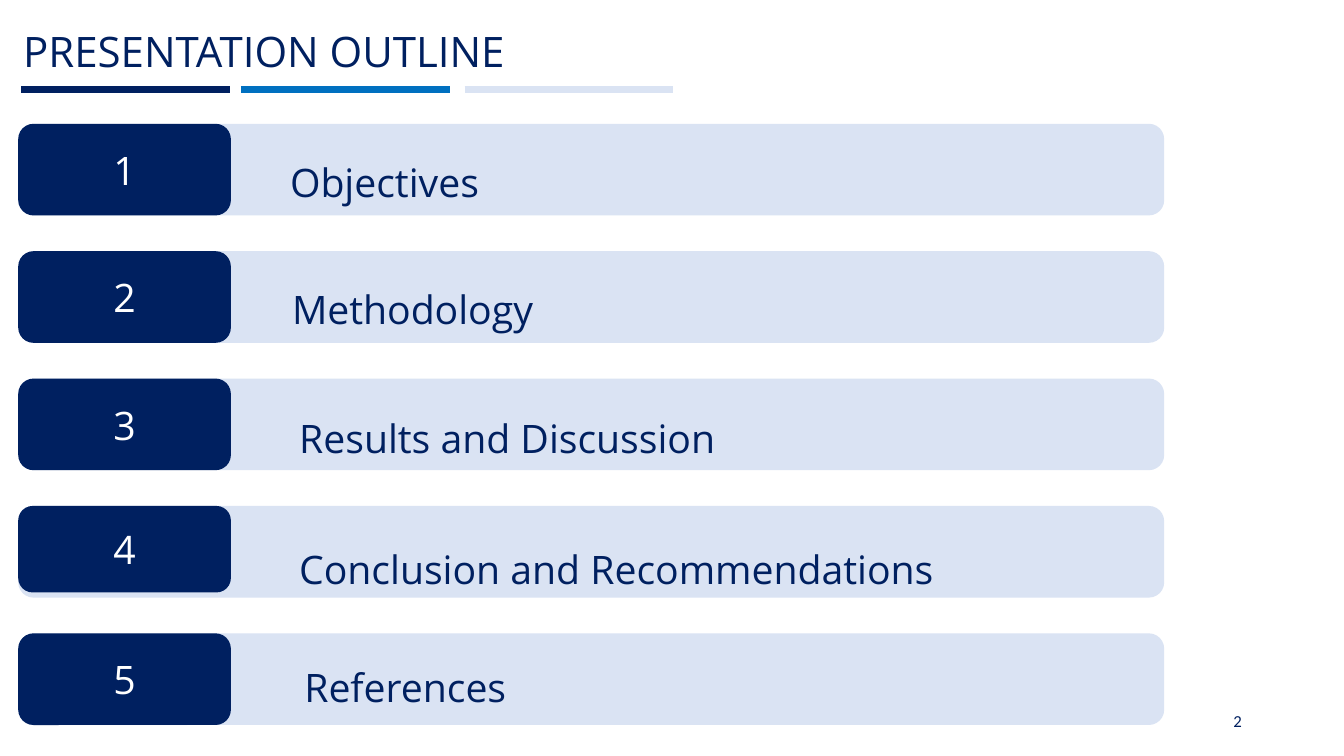
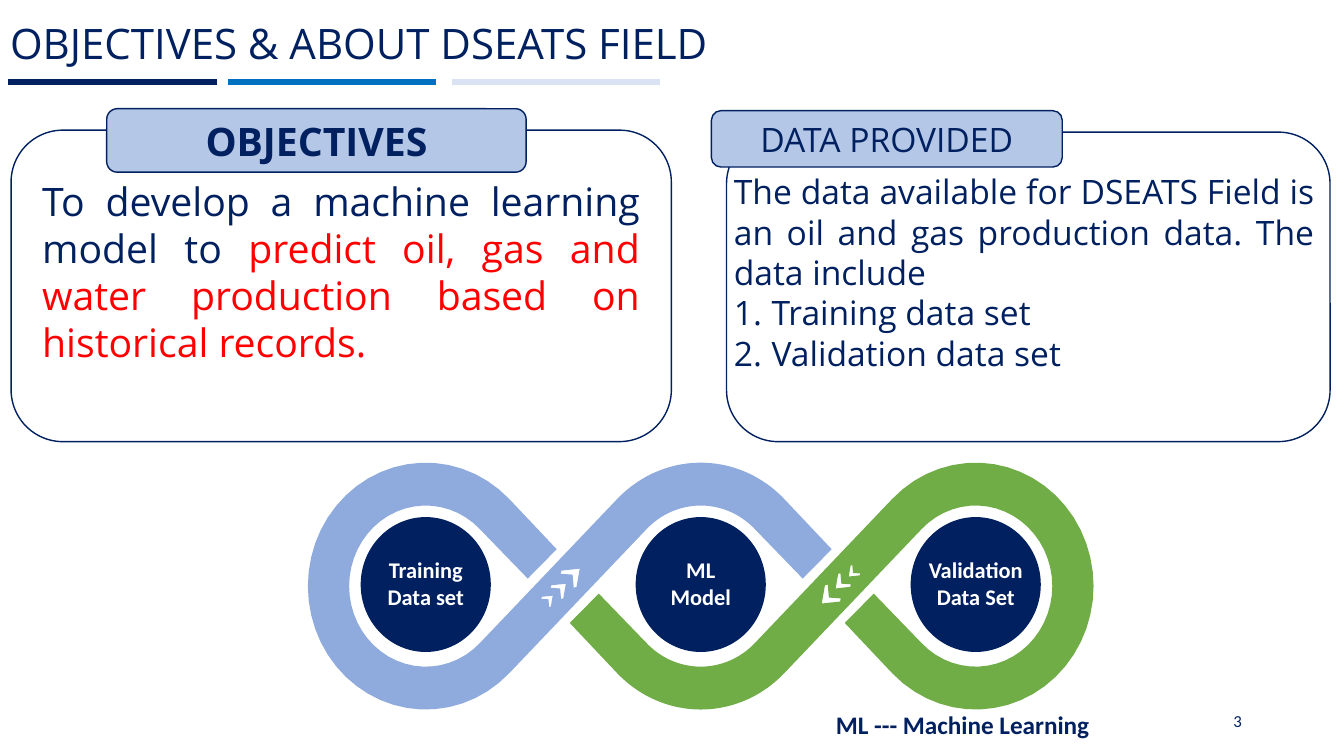
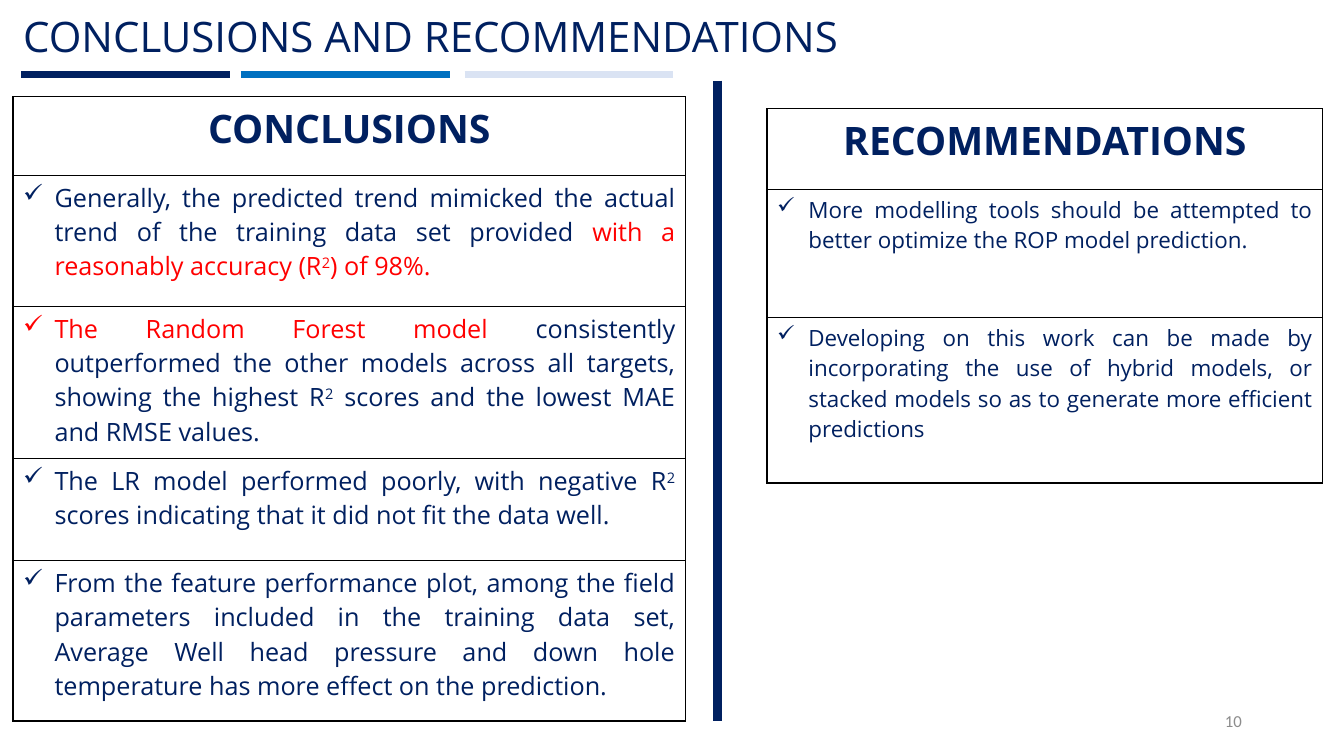
from math import cos, radians, sin

from lxml import etree
from pptx import Presentation
from pptx import util as u
from pptx.dml.color import RGBColor
from pptx.enum import shapes, text
from pptx.oxml.ns import qn

# Shared look
NAVY, BLUE, PALE, TAG = "002060", "0070C0", "DAE3F3", "B4C7E7"
RED, WHITE, GREY, BLACK = "FF0000", "FFFFFF", "8C8C8C", "000000"
LOOP_BLUE, LOOP_GREEN = "8FAADC", "70AD47"
LEFT, CENTER = text.PP_ALIGN.LEFT, text.PP_ALIGN.CENTER
RIGHT, JUSTIFY = text.PP_ALIGN.RIGHT, text.PP_ALIGN.JUSTIFY
MIDDLE = text.MSO_ANCHOR.MIDDLE
ROUNDED, OVAL = shapes.MSO_SHAPE.ROUNDED_RECTANGLE, shapes.MSO_SHAPE.OVAL
rgb = RGBColor.from_string


def box(slide, at, kind=None, fill=None, line=None, anchor=MIDDLE):
    """Add a preset shape, or a text box when no kind is given."""
    place = [u.Cm(length) for length in at]
    if kind is None:
        item = slide.shapes.add_textbox(*place)
    else:
        item = slide.shapes.add_shape(kind, *place)
        item.shadow.inherit = False
    if fill:
        item.fill.solid()
        item.fill.fore_color.rgb = rgb(fill)
    else:
        item.fill.background()
    if line:
        item.line.color.rgb = rgb(line)
        item.line.width = u.Pt(1)
    else:
        item.line.fill.background()
    item.text_frame.word_wrap = True
    item.text_frame.vertical_anchor = anchor
    return item


def write(paragraph, parts, size, align=LEFT, colour=NAVY, bold=False,
          font="Open Sans", spacing=1.0, bullet="buNone", indent=0, **mark):
    """Fill a paragraph; parts is a string or (text, colour, raised) tuples."""
    if isinstance(parts, str):
        parts = [(parts, colour, False)]
    for words, run_colour, raised in parts:
        run = paragraph.add_run()
        run.text = words
        run.font.size, run.font.name, run.font.bold = u.Pt(size), font, bold
        run.font.color.rgb = rgb(run_colour)
        if raised:
            run.font._element.set("baseline", "30000")
    paragraph.alignment = align
    paragraph.line_spacing = spacing
    paragraph.space_before = u.Pt(0)
    properties = paragraph._p.get_or_add_pPr()
    properties.set("marL", str(u.Cm(indent)))
    properties.set("indent", str(-u.Cm(indent)))
    etree.SubElement(properties, qn("a:" + bullet), **mark)


deck = Presentation()
deck.slide_width, deck.slide_height = u.Cm(33.87), u.Cm(19.05)

# Titles, title bars, divider and slide numbers
divider = (18.08, 2.03, 18.08, 18.16, NAVY, 6)
pages = []
for layout, title, left, top, number, number_colour, extra_rules in (
        (5, "PRESENTATION OUTLINE", 0.33, 0.3, "2", NAVY, []),
        (3, "OBJECTIVES & ABOUT DSEATS FIELD", 0, 0.1, "3", NAVY, []),
        (5, "CONCLUSIONS AND RECOMMENDATIONS", 0.33, -0.08, "10", GREY, [divider])):
    page = deck.slides.add_slide(deck.slide_layouts[layout])
    pages.append(page)
    heading = page.shapes.title
    heading.left, heading.top = u.Cm(left), u.Cm(top)
    heading.width, heading.height = u.Cm(29.21), u.Cm(2.11)
    heading.text_frame.auto_size = text.MSO_AUTO_SIZE.NONE
    heading.text_frame.vertical_anchor = MIDDLE
    write(heading.text_frame.paragraphs[0], title, 30, spacing=0.9)

    bar_y = top + 1.96
    bars = [(left + x, bar_y, left + x + 5.26, bar_y, colour, 4.5)
            for x, colour in ((0.2, NAVY), (5.74, BLUE), (11.38, PALE))]
    for x1, y1, x2, y2, colour, weight in bars + extra_rules:
        rule = page.shapes.add_connector(
            shapes.MSO_CONNECTOR.STRAIGHT, u.Cm(x1), u.Cm(y1), u.Cm(x2), u.Cm(y2))
        rule.line.color.rgb = rgb(colour)
        rule.line.width = u.Pt(weight)
        etree.SubElement(rule._element.spPr, qn("a:effectLst"))

    page_number = box(page, (23.93, 17.65, 7.62, 1.02))
    write(page_number.text_frame.paragraphs[0], number, 12, RIGHT,
          number_colour, font="Calibri")

outline, objectives, closing = pages

# Outline rows
for index, (topic, topic_left, topic_top, badge_height) in enumerate((
        ("Objectives", 7.06, 3.28, 2.31),
        ("Methodology", 7.11, 6.48, 2.31),
        ("Results and Discussion", 7.29, 9.73, 2.31),
        ("Conclusion and Recommendations", 7.29, 13.03, 2.18),
        ("References", 7.42, 16, 2.31))):
    row_top = 3.12 + 3.21 * index
    box(outline, (0.46, row_top, 28.88, 2.31), ROUNDED, PALE)
    badge = box(outline, (0.46, row_top, 5.36, badge_height), ROUNDED, NAVY)
    write(badge.text_frame.paragraphs[0], str(index + 1), 28, CENTER, WHITE)
    label = box(outline, (topic_left, topic_top, 21.5, 2), anchor=text.MSO_ANCHOR.TOP)
    write(label.text_frame.paragraphs[0], topic, 28, spacing=1.5)

# Objectives and data panels
goal = [("To develop a machine learning model to ", NAVY, False),
        ("predict oil, gas and water production based on historical records.", RED, False)]
data_sets = ["The data available for DSEATS Field is an oil and gas production data. "
             "The data include", "Training data set", "Validation data set"]
for slot, panel_at, tag_at, body_at, tag, size, bold, lines in (
        (1, (0.28, 3.28, 16.64, 7.85), (2.69, 2.74, 10.57, 1.6),
         (0.81, 4.34, 15.57, 5.08), "OBJECTIVES", 28, True, [goal]),
        (2, (18.31, 3.33, 15.21, 7.8), (17.93, 2.79, 8.84, 1.42),
         (18.24, 4.19, 15.14, 6.35), "DATA PROVIDED", 24, False, data_sets)):
    box(objectives, panel_at, ROUNDED, line=NAVY)
    tab = box(objectives, tag_at, ROUNDED, TAG, NAVY)
    write(tab.text_frame.paragraphs[0], tag, size, CENTER, bold=bold)
    body = objectives.placeholders[slot]
    body.left, body.top, body.width, body.height = [u.Cm(v) for v in body_at]
    frame = body.text_frame
    frame.auto_size = text.MSO_AUTO_SIZE.NONE
    write(frame.paragraphs[0], lines[0], size, JUSTIFY)
    for item in lines[1:]:
        write(frame.add_paragraph(), item, size, JUSTIFY, bullet="buAutoNum",
              indent=0.95, type="arabicPeriod")

# Ribbon outline, measured from the centre of the middle loop
centre_x, centre_y, pitch = 17.66, 14.77, 6.93
ribbon = []
for loop_x, start, end in ((0, 225, 315), (-pitch, 45, 315)):
    inner, outer = (
        [(loop_x + rx * cos(radians(a + (b - a) * step / 40)),
          ry * sin(radians(a + (b - a) * step / 40))) for step in range(41)]
        for rx, ry, a, b in ((1.93, 2.03, start, end), (2.97, 3.11, end, start)))
    ribbon += inner + [(loop_x + 2.57, -0.19), (loop_x + 3.3, -0.93)] + outer

# Chevrons cut out of the ribbon, shrinking away from the tip
chevron = [(0, 0), (-0.08, 0.46), (-0.15, 0.48), (-0.18, 0.15), (-0.48, 0.13), (-0.46, 0.05)]
cutouts = [[(tip_x + scale * x, tip_y + scale * y) for x, y in chevron]
           for tip_x, tip_y, scale in ((-3.05, -0.44, 1), (-3.4, -0.06, 0.8), (-3.73, 0.24, 0.6))]

# The green ribbon is the blue one turned by half a circle
for turn, colour in ((1, LOOP_BLUE), (-1, LOOP_GREEN)):
    contours = [[(u.Cm(centre_x + turn * x), u.Cm(centre_y + turn * y)) for x, y in contour]
                for contour in [ribbon] + cutouts]
    builder = objectives.shapes.build_freeform(*contours[0][0])
    builder.add_line_segments(contours[0][1:], close=True)
    for contour in contours[1:]:
        builder.move_to(*contour[0])
        builder.add_line_segments(contour[1:], close=True)
    band = builder.convert_to_shape()
    band.shadow.inherit = False
    band.fill.solid()
    band.fill.fore_color.rgb = rgb(colour)
    band.line.fill.background()

# Loop centres and footnote
for index, (stage, width) in enumerate((
        ("Training Data set", 2.9), ("ML Model", 2.13), ("Validation Data Set", 3.28))):
    x = centre_x + (index - 1) * pitch
    box(objectives, (x - 1.64, 13.03, 3.28, 3.4), OVAL, NAVY)
    caption = box(objectives, (x - width / 2, 13.85, width, 1.7))
    write(caption.text_frame.paragraphs[0], stage, 16, CENTER, WHITE, True, "Calibri")
footnote = box(objectives, (20.53, 17.73, 7.46, 1.07))
write(footnote.text_frame.paragraphs[0], "ML --- Machine Learning", 18, CENTER,
      bold=True, font="Calibri")

# Conclusions and recommendations
conclusions = [
    [("Generally, the predicted trend mimicked the actual trend of the training data set "
      "provided ", NAVY, False),
     ("with a reasonably accuracy (R", RED, False), ("2", RED, True),
     (") of 98%. ", RED, False)],
    [("The Random Forest model ", RED, False),
     ("consistently outperformed the other models across all targets, showing the "
      "highest R", NAVY, False), ("2", NAVY, True),
     (" scores and the lowest MAE and RMSE values.", NAVY, False)],
    [("The LR model performed poorly, with negative R", NAVY, False), ("2", NAVY, True),
     (" scores indicating that it did not fit the data well.", NAVY, False)],
    "From the feature performance plot, among the field parameters included in the "
    "training data set, Average Well head pressure and down hole temperature has more "
    "effect on the prediction."]
recommendations = [
    "More modelling tools should be attempted to better optimize the ROP model prediction.",
    "Developing on this work can be made by incorporating the use of hybrid models, or "
    "stacked models so as to generate more efficient predictions"]
for header, points, size, left, top, width, heights in (
        ("CONCLUSIONS", conclusions, 18, 0.33, 2.44, 16.94, (1.98, 3.3, 3.84, 2.57, 4.04)),
        ("RECOMMENDATIONS", recommendations, 16, 19.33, 2.74, 14, (2.03, 3.23, 4.17))):
    table = closing.shapes.add_table(
        len(heights), 1, u.Cm(left), u.Cm(top), u.Cm(width), u.Cm(sum(heights))).table
    table.first_row = table.horz_banding = False
    for row, height, point in zip(table.rows, heights, [header] + points):
        row.height = u.Cm(height)
        cell = row.cells[0]
        cell.fill.background()
        for order, side in enumerate(("lnL", "lnR", "lnT", "lnB")):
            border = etree.Element(qn("a:" + side), w=str(u.Pt(1)))
            paint = etree.SubElement(border, qn("a:solidFill"))
            etree.SubElement(paint, qn("a:srgbClr"), val=BLACK)
            cell._tc.get_or_add_tcPr().insert(order, border)
        line = cell.text_frame.paragraphs[0]
        if point is header:
            write(line, header, 28, CENTER, bold=True)
        else:
            write(line, point, size, JUSTIFY, bullet="buChar", indent=0.79, char="✓")

deck.save("out.pptx")
